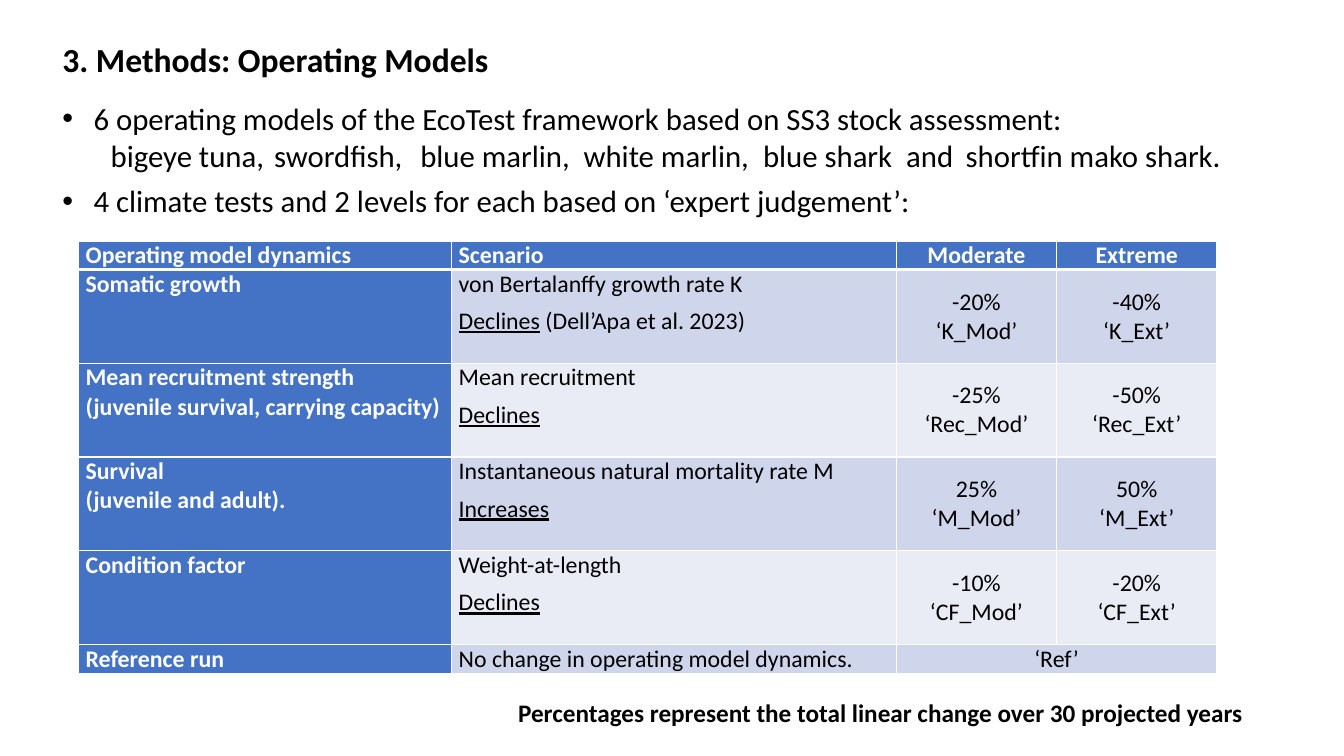
from dataclasses import dataclass, field

from lxml import etree
from pptx import Presentation
from pptx import util as u
from pptx.dml.color import RGBColor
from pptx.enum import text as enum
from pptx.oxml import ns

BLACK = RGBColor(0x00, 0x00, 0x00)
WHITE = RGBColor(0xFF, 0xFF, 0xFF)
BLUE = RGBColor(0x44, 0x72, 0xC4)
DARK = RGBColor(0xCF, 0xD5, 0xEA)
LIGHT = RGBColor(0xE9, 0xEB, 0xF5)
CENTER = enum.PP_ALIGN.CENTER
LEFT = enum.PP_ALIGN.LEFT


@dataclass
class Run:
    text: str
    line: bool = False


@dataclass
class Para:
    runs: list[Run]
    after: int = 0
    bullet: bool = False
    tabs: list[float] = field(default_factory=list)


@dataclass
class Style:
    size: int
    color: RGBColor = BLACK
    bold: bool = False
    align: enum.PP_ALIGN = LEFT


@dataclass
class Test:
    names: list[str]
    factor: str
    trend: str
    source: str
    code: str
    levels: list[str]


HEADS = ["Operating model dynamics", "Scenario", "Moderate", "Extreme"]
TESTS = [
    Test(["Somatic growth"], "von Bertalanffy growth rate K", "Declines",
         " (Dell’Apa et al. 2023)", "K", ["-20%", "-40%"]),
    Test(["Mean recruitment strength", "(juvenile survival, carrying capacity)"],
         "Mean recruitment", "Declines", "", "Rec", ["-25%", "-50%"]),
    Test(["Survival", "(juvenile and adult)."], "Instantaneous natural mortality rate M",
         "Increases", "", "M", ["25%", "50%"]),
    Test(["Condition factor"], "Weight-at-length", "Declines", "", "CF", ["-10%", "-20%"]),
]
STOCKS = ["bigeye tuna,", "swordfish,", "blue marlin,", "white marlin,",
          "blue shark", "and", "shortfin mako shark."]
STOPS = [0.48, 2.1, 3.55, 5.17, 6.95, 8.37, 8.96]

NAME = Style(17, WHITE, True)
HEAD = Style(17, WHITE, True, CENTER)
BODY = Style(17)
LEVEL = Style(17, align=CENTER)


def plain(*lines: str) -> list[Para]:
    return [Para([Run(line)]) for line in lines]


def add_marks(item, para: Para) -> None:
    """Set the bullet and the tab stops of a paragraph."""
    props = item._p.get_or_add_pPr()
    if para.bullet:
        props.set("marL", str(u.Inches(0.31)))
        props.set("indent", str(-u.Inches(0.31)))
        etree.SubElement(props, ns.qn("a:buFont"), typeface="Arial")
        etree.SubElement(props, ns.qn("a:buChar"), char="•")
    if para.tabs:
        stops = etree.SubElement(props, ns.qn("a:tabLst"))
        for stop in para.tabs:
            etree.SubElement(stops, ns.qn("a:tab"), pos=str(u.Inches(stop)), algn="l")


def write(frame, paras: list[Para], style: Style) -> None:
    for index, para in enumerate(paras):
        item = frame.add_paragraph() if index else frame.paragraphs[0]
        add_marks(item, para)
        item.alignment = style.align
        item.space_after = u.Pt(para.after)
        for part in para.runs:
            run = item.add_run()
            run.text = part.text
            look = {"name": "Calibri", "size": u.Pt(style.size),
                    "bold": style.bold, "underline": part.line}
            for key, value in look.items():
                setattr(run.font, key, value)
            run.font.color.rgb = style.color


def add_text(slide, place: tuple[float, ...], paras: list[Para], style: Style) -> None:
    frame = slide.shapes.add_textbox(*map(u.Inches, place)).text_frame
    frame.word_wrap = True
    frame.auto_size = enum.MSO_AUTO_SIZE.SHAPE_TO_FIT_TEXT
    write(frame, paras, style)


def add_edges(cell, base: float) -> None:
    """Draw white cell borders, with the bottom one at its own width."""
    props = cell._tc.get_or_add_tcPr()
    widths = {"a:lnL": 1, "a:lnR": 1, "a:lnT": 1, "a:lnB": base}
    for index, (tag, width) in enumerate(widths.items()):
        edge = etree.Element(ns.qn(tag), w=str(u.Pt(width)))
        fill = etree.SubElement(edge, ns.qn("a:solidFill"))
        etree.SubElement(fill, ns.qn("a:srgbClr"), val=str(WHITE))
        props.insert(index, edge)


def fill_cell(cell, paras: list[Para], style: Style, color: RGBColor,
              middle: bool = False, base: float = 1) -> None:
    anchor = enum.MSO_ANCHOR
    look = {"margin_left": u.Inches(0.07), "margin_right": u.Inches(0.07),
            "margin_top": 0, "margin_bottom": 0,
            "vertical_anchor": anchor.MIDDLE if middle else anchor.TOP}
    for key, value in look.items():
        setattr(cell, key, value)
    cell.fill.solid()
    cell.fill.fore_color.rgb = color
    add_edges(cell, base)
    write(cell.text_frame, paras, style)


def add_tests(slide) -> None:
    wide = [3.7, 4.41, 1.59, 1.59]
    high = [0.28] + [0.93] * len(TESTS) + [0.28]
    table = slide.shapes.add_table(
        len(high), len(wide), u.Inches(0.78), u.Inches(2.39),
        u.Inches(sum(wide)), u.Inches(sum(high))).table
    for col, width in zip(table.columns, wide):
        col.width = u.Inches(width)
    for row, height in zip(table.rows, high):
        row.height = u.Inches(height)

    # Header row
    for col, head in enumerate(HEADS):
        fill_cell(table.cell(0, col), plain(head), HEAD if col > 1 else NAME,
                  BLUE, col > 0, 3)

    # Climate tests
    for row, test in enumerate(TESTS, 1):
        band = DARK if row % 2 else LIGHT
        trend = [Run(test.trend, True)]
        if test.source:
            trend.append(Run(test.source))
        fill_cell(table.cell(row, 0), plain(*test.names), NAME, BLUE)
        fill_cell(table.cell(row, 1), [Para([Run(test.factor)], 6), Para(trend)], BODY, band)
        for col, (level, tag) in enumerate(zip(test.levels, ["Mod", "Ext"]), 2):
            fill_cell(table.cell(row, col), plain(level, f"‘{test.code}_{tag}’"),
                      LEVEL, band, True)

    # Reference run
    last = len(high) - 1
    table.cell(last, 2).merge(table.cell(last, 3))
    fill_cell(table.cell(last, 0), plain("Reference run"), NAME, BLUE)
    fill_cell(table.cell(last, 1), plain("No change in operating model dynamics."), BODY, DARK)
    fill_cell(table.cell(last, 2), plain("‘Ref’"), LEVEL, DARK, True)


def main() -> None:
    deck = Presentation()
    deck.slide_width, deck.slide_height = u.Inches(13.33), u.Inches(7.5)
    slide = deck.slides.add_slide(deck.slide_layouts[6])

    # Bullets and title
    points = [
        Para([Run("6 operating models of the EcoTest framework based on SS3 stock assessment:")],
             bullet=True),
        Para([Run("\t" + "\t".join(STOCKS))], 6, tabs=STOPS),
        Para([Run("4 climate tests and 2 levels for each based on ‘expert judgement’:")],
             bullet=True),
    ]
    add_text(slide, (0.52, 0.94, 11.97, 2.04), points, Style(22))
    add_text(slide, (0.52, 0.34, 6.26, 0.5), plain("3. Methods: Operating Models"),
             Style(24, bold=True))

    # Table and footnote
    add_tests(slide)
    note = "Percentages represent the total linear change over 30 projected years"
    add_text(slide, (5.04, 6.87, 7.97, 0.4), plain(note), Style(18, bold=True))
    deck.save("out.pptx")


if __name__ == "__main__":
    main()
